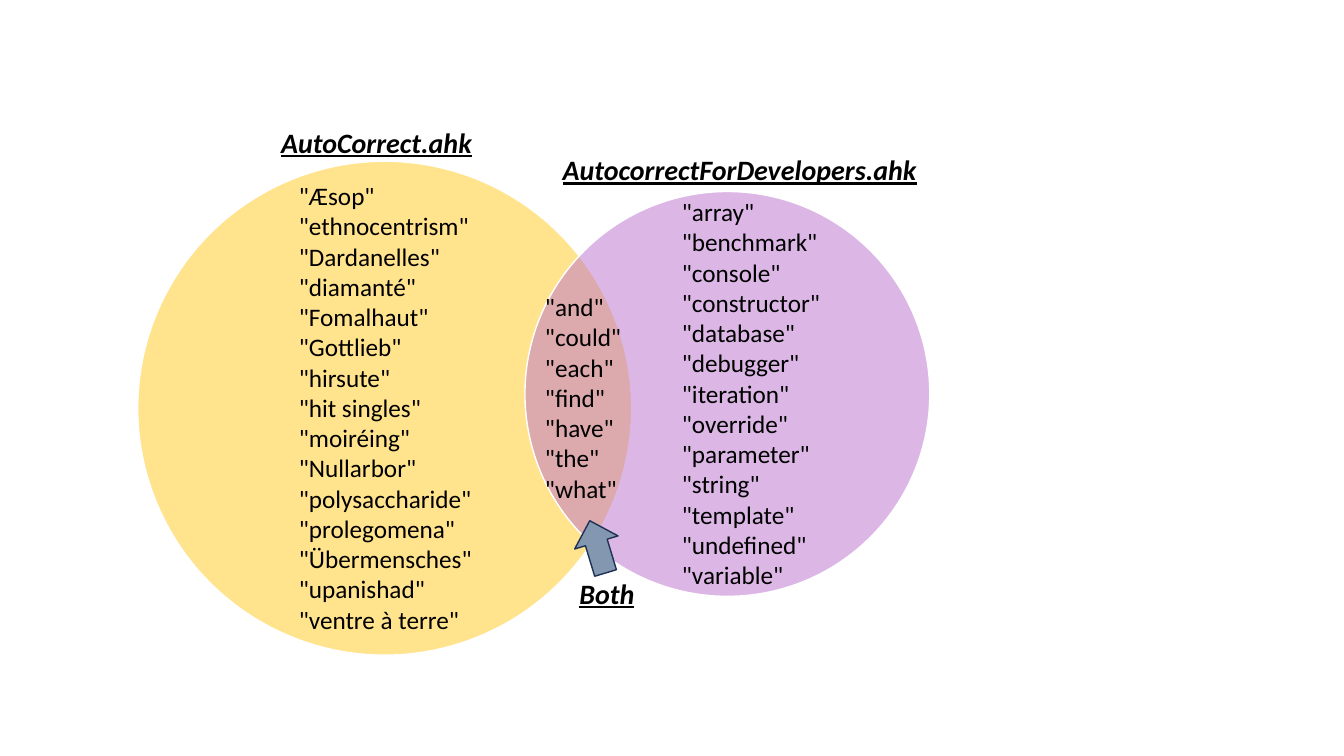
"""Build a Venn diagram slide of the words in two autocorrect scripts."""
from dataclasses import dataclass

import pptx
import pptx.dml.color
import pptx.enum.shapes
import pptx.enum.text
import pptx.oxml
import pptx.oxml.ns
import pptx.util

RGBColor = pptx.dml.color.RGBColor
PRESET = pptx.enum.shapes.MSO_SHAPE

YELLOW = RGBColor(0xFF, 0xC9, 0x1D)
PURPLE = RGBColor(0xBA, 0x70, 0xCE)
WHITE = RGBColor(0xFF, 0xFF, 0xFF)
BLACK = RGBColor(0x00, 0x00, 0x00)
SLATE = RGBColor(0x84, 0x97, 0xB0)
NAVY = RGBColor(0x1E, 0x32, 0x56)

COLUMNS, ROWS = 16, 9
SLIDE_HEIGHT = pptx.util.Inches(7.5)
CELL = SLIDE_HEIGHT / ROWS
FONT = "Calibri"


@dataclass(frozen=True)
class Area:
    left: float
    top: float
    width: float
    height: float

    def lengths(self) -> list[pptx.util.Emu]:
        cells = (self.left, self.top, self.width, self.height)
        return [pptx.util.Emu(round(cell * CELL)) for cell in cells]


@dataclass(frozen=True)
class Figure:
    preset: int
    area: Area
    fill: RGBColor
    line: RGBColor
    opacity: int = 100
    rotation: float = 0


@dataclass(frozen=True)
class Caption:
    area: Area
    lines: tuple[str, ...]
    size: int = 18
    heading: bool = False


CIRCLES = (
    Figure(PRESET.OVAL, Area(1.64, 1.92, 5.88, 5.88), YELLOW, WHITE, 50),
    Figure(PRESET.OVAL, Area(6.25, 2.28, 4.82, 4.82), PURPLE, WHITE, 50),
)
ARROW = Figure(PRESET.RIGHT_ARROW, Area(6.79, 6.24, 0.65, 0.54), SLATE, NAVY,
               rotation=253.2)

CAPTIONS = (
    Caption(Area(3.44, 2.09, 2.33, 5.57), (
        '"Æsop"', '"ethnocentrism"', '"Dardanelles"', '"diamanté"',
        '"Fomalhaut"', '"Gottlieb"', '"hirsute"', '"hit singles"',
        '"moiréing"', '"Nullarbor"', '"polysaccharide"', '"prolegomena"',
        '"Übermensches"', '"upanishad"', '"ventre à terre"')),
    Caption(Area(8, 2.28, 1.91, 4.85), (
        '"array"', '"benchmark"', '"console"', '"constructor"',
        '"database"', '"debugger"', '"iteration"', '"override"',
        '"parameter"', '"string"', '"template"', '"undefined"',
        '"variable"')),
    Caption(Area(6.37, 3.41, 1.16, 3.02), (
        '"and"', '"could"', '"each"', '"find"', '"have"', '"the"', '"what"')),
    Caption(Area(3.23, 1.43, 2.54, 0.53), ("AutoCorrect.ahk",), 20, True),
    Caption(Area(6.58, 1.76, 4.52, 0.53), ("AutocorrectForDevelopers.ahk",),
            20, True),
    Caption(Area(6.78, 6.8, 0.91, 0.53), ("Both",), 20, True),
)


def draw_figure(page: pptx.slide.Slide, figure: Figure) -> None:
    shape = page.shapes.add_shape(figure.preset, *figure.area.lengths())
    shape.shadow.inherit = False
    shape.rotation = figure.rotation
    shape.fill.solid()
    shape.fill.fore_color.rgb = figure.fill
    shape.line.color.rgb = figure.line
    shape.line.width = pptx.util.Pt(1)
    if figure.opacity < 100:
        color = shape.fill._xPr.find(".//" + pptx.oxml.ns.qn("a:srgbClr"))
        alpha = pptx.oxml.parse_xml(
            f'<a:alpha {pptx.oxml.ns.nsdecls("a")} '
            f'val="{figure.opacity * 1000}"/>')
        color.append(alpha)


def draw_caption(page: pptx.slide.Slide, caption: Caption) -> None:
    box = page.shapes.add_textbox(*caption.area.lengths())
    frame = box.text_frame
    frame.word_wrap = False
    frame.auto_size = pptx.enum.text.MSO_AUTO_SIZE.SHAPE_TO_FIT_TEXT
    frame.text = "\n".join(caption.lines)
    for para in frame.paragraphs:
        font = para.font
        font.name = FONT
        font.size = pptx.util.Pt(caption.size)
        font.color.rgb = BLACK
        font.bold = font.italic = font.underline = caption.heading


def main() -> None:
    deck = pptx.Presentation()
    deck.slide_height = SLIDE_HEIGHT
    deck.slide_width = pptx.util.Emu(round(COLUMNS * CELL))
    page = deck.slides.add_slide(deck.slide_layouts.get_by_name("Blank"))
    for circle in CIRCLES:
        draw_figure(page, circle)
    for caption in CAPTIONS:
        draw_caption(page, caption)
    draw_figure(page, ARROW)
    deck.save("out.pptx")


if __name__ == "__main__":
    main()
